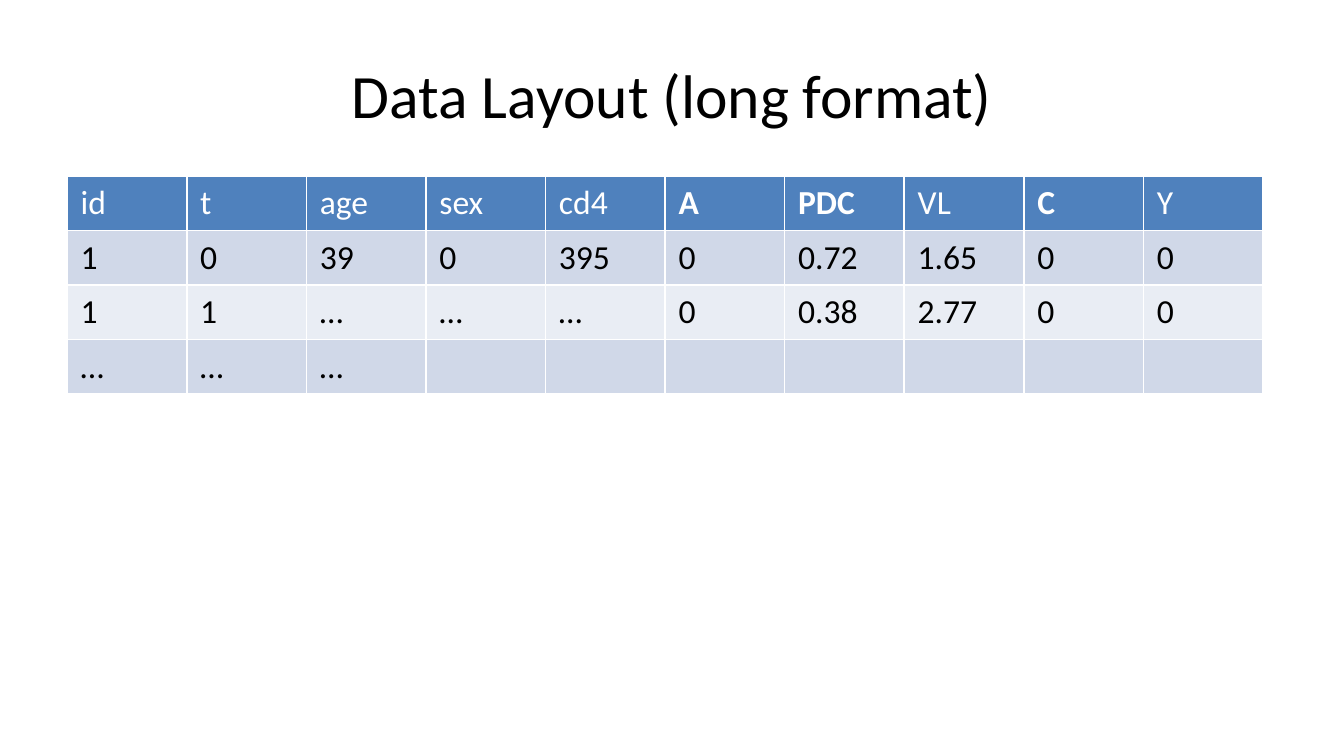
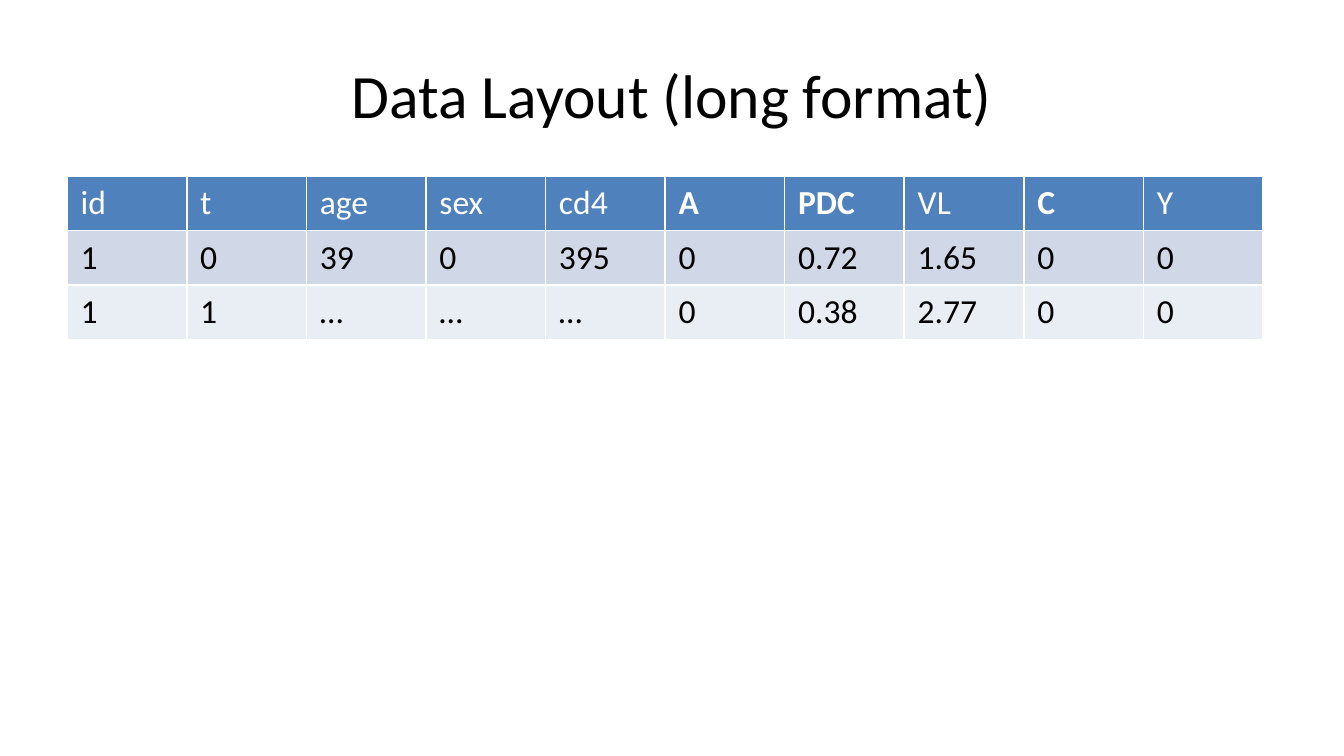
from dataclasses import dataclass

from lxml.etree import SubElement
from pptx import Presentation
from pptx.dml.color import RGBColor as RGB
from pptx.enum.text import MSO_ANCHOR as Anchor, PP_ALIGN as Align
from pptx.oxml.ns import qn
from pptx.util import Inches, Pt


@dataclass(frozen=True)
class Theme:
    """Colours, font and type sizes shared by the slides."""
    font: str = "Calibri"
    title_size: int = 33
    cell_size: int = 18
    ink: str = "000000"
    paper: str = "FFFFFF"
    header: str = "4F81BD"
    bands: tuple = ("D0D8E8", "E9EDF4")
    rule: int = 1


THEME = Theme()
TITLE = "Data Layout (long format)"
VARIABLES = ["id", "t", "age", "sex", "cd4", "A", "PDC", "VL", "C", "Y"]
BOLD_VARIABLES = {"A", "PDC", "C"}
VISITS = [
    ["1", "0", "39", "0", "395", "0", "0.72", "1.65", "0", "0"],
    ["1", "1", "…", "…", "…", "0", "0.38", "2.77", "0", "0"],
]
CONTINUATION = ["…"] * 3 + [""] * 7
COLUMN_WIDTH, ROW_HEIGHT = 0.89, 0.4


def style_text(frame, size, color, bold=False):
    """Apply the theme font to every run of a text frame."""
    for paragraph in frame.paragraphs:
        for run in paragraph.runs:
            run.font.name = THEME.font
            run.font.size = Pt(size)
            run.font.bold = bold
            run.font.color.rgb = RGB.from_string(color)


def add_title(slide, text):
    """Place and format the slide title."""
    title = slide.shapes.title
    title.left, title.top = Inches(0.5), Inches(0.23)
    title.width, title.height = Inches(9), Inches(0.94)
    frame = title.text_frame
    frame.text = text
    frame.vertical_anchor = Anchor.MIDDLE
    frame.paragraphs[0].alignment = Align.CENTER
    style_text(frame, THEME.title_size, THEME.ink)


def add_borders(cell):
    """Draw the rules around a cell."""
    properties = cell._tc.get_or_add_tcPr()
    for side in "LRTB":
        line = SubElement(properties, qn(f"a:ln{side}"), w=str(Pt(THEME.rule)))
        fill = SubElement(line, qn("a:solidFill"))
        SubElement(fill, qn("a:srgbClr"), val=THEME.paper)


def fill_cell(cell, text, fill, color, bold=False):
    """Write and format one table cell."""
    cell.text_frame.text = text
    style_text(cell.text_frame, THEME.cell_size, color, bold)
    add_borders(cell)
    cell.fill.solid()
    cell.fill.fore_color.rgb = RGB.from_string(fill)


def add_data_table(slide, records):
    """Add the table of variables with one banded row per record."""
    rows, columns = len(records) + 1, len(VARIABLES)
    table = slide.shapes.add_table(
        rows, columns, Inches(0.5), Inches(1.31),
        Inches(COLUMN_WIDTH * columns), Inches(ROW_HEIGHT * rows)).table
    for column, variable in enumerate(VARIABLES):
        fill_cell(table.cell(0, column), variable, THEME.header, THEME.paper,
                  variable in BOLD_VARIABLES)
    for row, record in enumerate(records):
        band = THEME.bands[row % len(THEME.bands)]
        for column, value in enumerate(record):
            fill_cell(table.cell(row + 1, column), value, band, THEME.ink)


def add_layout_slide(deck, records):
    """Add a titled slide that shows the given records."""
    slide = deck.slides.add_slide(deck.slide_layouts[5])
    slide.background.fill.solid()
    slide.background.fill.fore_color.rgb = RGB.from_string(THEME.paper)
    add_title(slide, TITLE)
    add_data_table(slide, records)


def main():
    """Build the deck and save it."""
    deck = Presentation()
    deck.slide_width = Inches(10)
    deck.slide_height = deck.slide_width * 9 // 16
    add_layout_slide(deck, VISITS + [CONTINUATION])
    add_layout_slide(deck, VISITS)
    deck.save("out.pptx")


if __name__ == "__main__":
    main()
